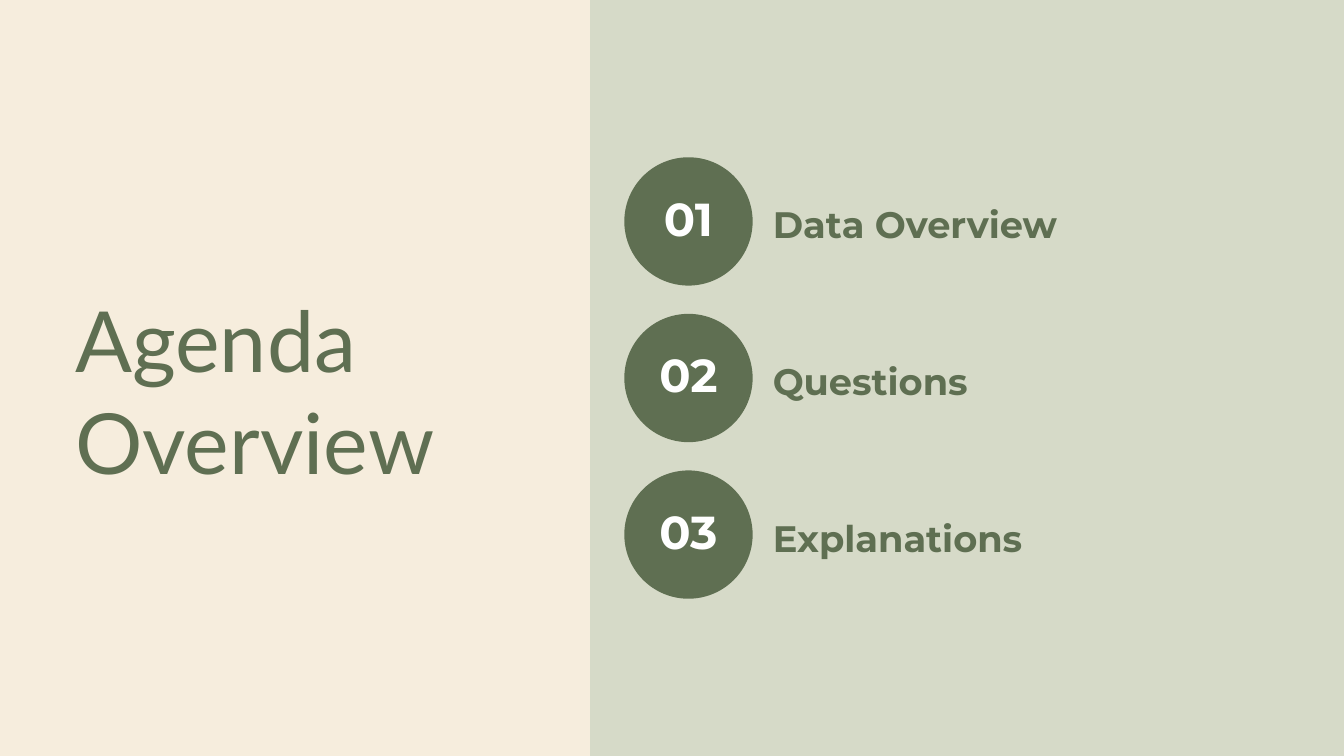
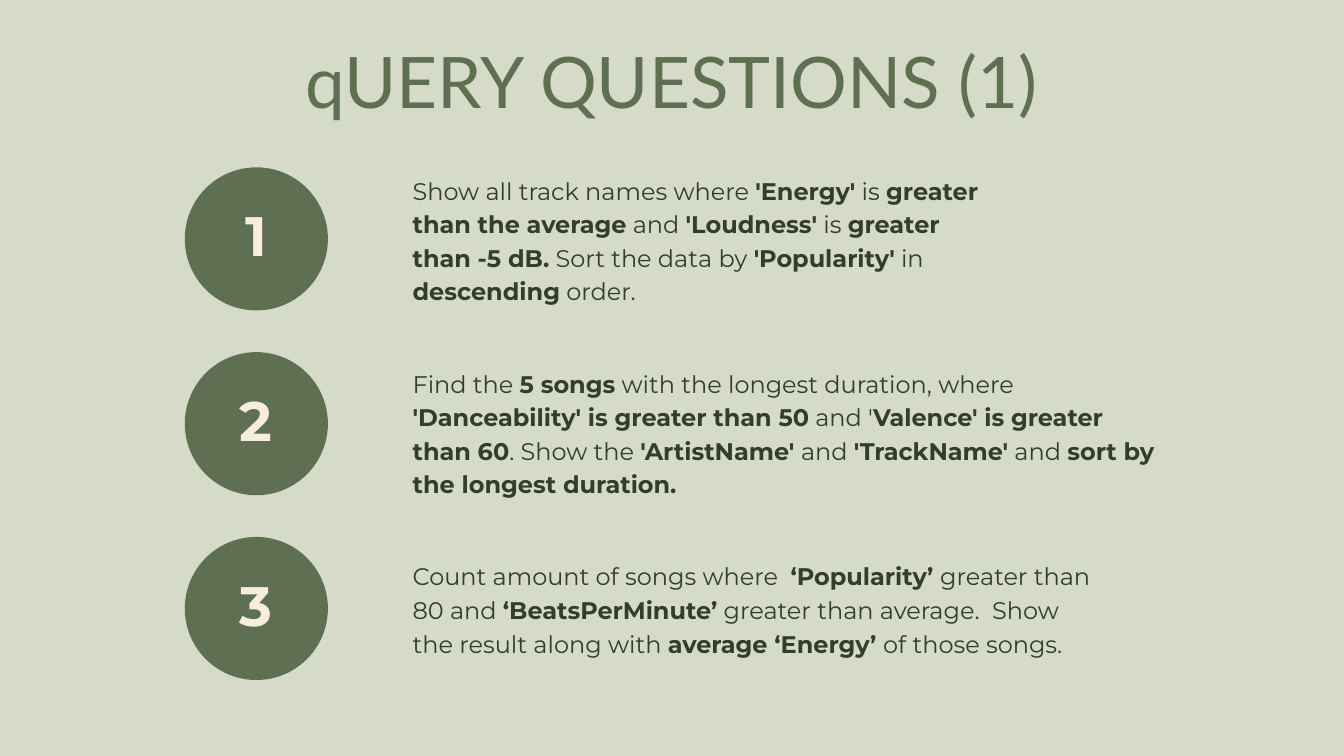
from pptx import Presentation
from pptx.dml.color import RGBColor
from pptx.enum.shapes import MSO_SHAPE as SHAPE
from pptx.enum.text import MSO_ANCHOR as ANCHOR, MSO_AUTO_SIZE as AUTO, PP_ALIGN as ALIGN
from pptx.util import Inches, Pt

CREAM = RGBColor(0xF6, 0xED, 0xDD)
SAGE = RGBColor(0xD6, 0xDA, 0xC8)
GREEN = RGBColor(0x5F, 0x6F, 0x52)
DARK = RGBColor(0x33, 0x3D, 0x2B)
WHITE = RGBColor(0xFF, 0xFF, 0xFF)
TITLE_FONT, BODY_FONT = "Lato", "Montserrat"

prs = Presentation()
prs.slide_width, prs.slide_height = Inches(20), Inches(11.25)
COL, ROW = prs.slide_width / 20, prs.slide_height / 11.25


def place(sp, left, top, width, height):
    sp.left, sp.top = round(left * COL), round(top * ROW)
    sp.width, sp.height = round(width * COL), round(height * ROW)


def write(sp, text, size, leading, color, font=BODY_FONT, align=ALIGN.LEFT,
          anchor=ANCHOR.TOP, lift=0):
    tf = sp.text_frame
    tf.auto_size = AUTO.NONE
    tf.word_wrap = True
    tf.vertical_anchor = anchor
    tf.margin_left = tf.margin_right = tf.margin_top = 0
    tf.margin_bottom = round(lift * ROW)
    p = tf.paragraphs[0]
    p.alignment = align
    p.line_spacing = Pt(leading)
    for i, chunk in enumerate(text.split("*")):
        if chunk:
            r = p.add_run()
            r.text = chunk
            r.font.name = font
            r.font.size = Pt(size)
            r.font.bold = i % 2 == 1
            r.font.color.rgb = color


pages = [
    dict(
        background=CREAM, panel=(8.78, 0, 11.22, 11.25),
        title="Agenda Overview", title_box=(1.12, 4.28, 7.28, 3.02),
        title_size=90.3, title_leading=109.3, title_align=ALIGN.LEFT,
        circle=(9.29, 2.34, 1.91), circle_step=2.33, lift=0.25,
        number_size=49.5, number_leading=69.3, number_color=WHITE,
        text_left=11.5, text_top=2.9, text_step=2.33, text_height=0.72,
        text_size=39.4, text_leading=55.1, text_color=GREEN,
        items=[
            ("01", "*Data Overview*", 8.5),
            ("02", "*Questions*", 8.5),
            ("03", "*Explanations*", 8.5),
        ],
    ),
    dict(
        background=SAGE, panel=None,
        title="qUERY QUESTIONS (1)", title_box=(1.12, 0.55, 17.75, 1.27),
        title_size=76.1, title_leading=92.1, title_align=ALIGN.CENTER,
        circle=(2.75, 2.49, 2.13), circle_step=2.75, lift=0.3,
        number_size=59.5, number_leading=83.3, number_color=CREAM,
        text_left=6.14, text_top=2.55, text_step=2.87, text_height=1.95,
        text_size=25.7, text_leading=36, text_color=DARK,
        items=[
            ("1", "Show all track names where *'Energy'* is *greater than the average* and "
                  "*'Loudness'* is *greater than -5 dB.* Sort the data by *'Popularity'* in "
                  "*descending* order.", 8.56),
            ("2", "Find the *5 songs* with the longest duration, where "
                  "*'Danceability' is greater than 50* and '*Valence' is greater than 60*. "
                  "Show the *'ArtistName' *and *'TrackName'* and "
                  "*sort by the longest duration.*", 11.11),
            ("3", "Count amount of songs where  *‘Popularity’ *greater than 80 and "
                  "*‘BeatsPerMinute’* greater than average.  Show the result along with "
                  "*average ‘Energy’ *of those songs.", 10.31),
        ],
    ),
]

for page in pages:
    s = prs.slides.add_slide(prs.slide_layouts[5])
    s.background.fill.solid()
    s.background.fill.fore_color.rgb = page["background"]

    place(s.shapes.title, *page["title_box"])
    write(s.shapes.title, page["title"], page["title_size"], page["title_leading"],
          GREEN, TITLE_FONT, page["title_align"])

    if page["panel"]:
        panel = s.shapes.add_shape(SHAPE.RECTANGLE, 0, 0, 0, 0)
        place(panel, *page["panel"])
        panel.shadow.inherit = False
        panel.fill.solid()
        panel.fill.fore_color.rgb = SAGE
        panel.line.fill.background()

    left, top, size = page["circle"]
    for i, (number, text, width) in enumerate(page["items"]):
        circle = s.shapes.add_shape(SHAPE.OVAL, 0, 0, 0, 0)
        place(circle, left, top + i * page["circle_step"], size, size)
        circle.shadow.inherit = False
        circle.fill.solid()
        circle.fill.fore_color.rgb = GREEN
        circle.line.fill.background()
        write(circle, f"*{number}*", page["number_size"], page["number_leading"],
              page["number_color"], align=ALIGN.CENTER, anchor=ANCHOR.MIDDLE,
              lift=page["lift"])

        label = s.shapes.add_textbox(0, 0, 0, 0)
        place(label, page["text_left"], page["text_top"] + i * page["text_step"],
              width, page["text_height"])
        write(label, text, page["text_size"], page["text_leading"], page["text_color"])

prs.save("out.pptx")
